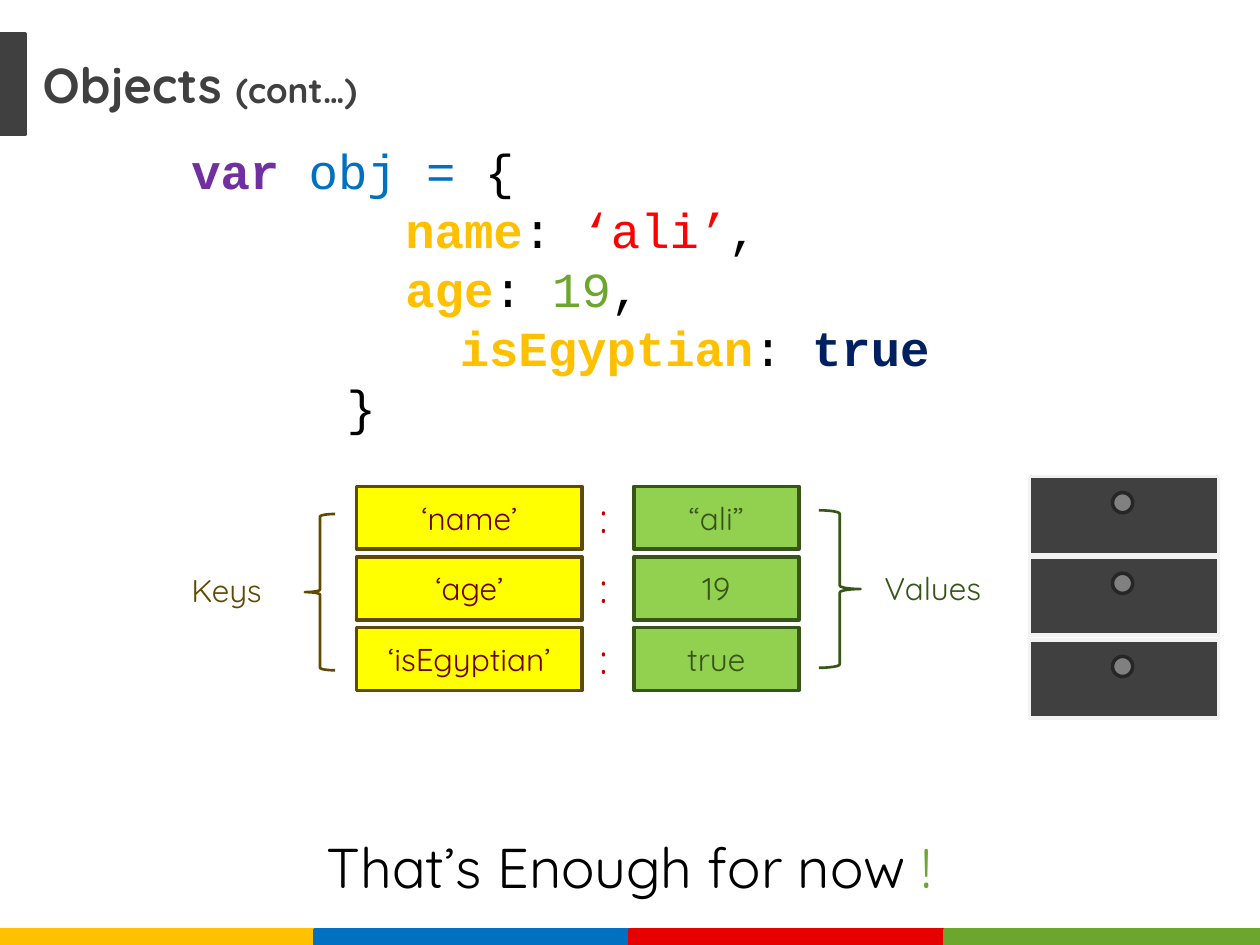
from pptx import Presentation
from pptx.dml.color import RGBColor
from pptx.enum.shapes import MSO_SHAPE as Shape
from pptx.enum.text import MSO_ANCHOR as Anchor, PP_ALIGN as Align
from pptx.util import Inches, Pt

BLACK = RGBColor(0x00, 0x00, 0x00)
CHARCOAL = RGBColor(0x40, 0x40, 0x40)
GRAY = RGBColor(0x80, 0x80, 0x80)
DARK_GRAY = RGBColor(0x26, 0x26, 0x26)
PALE_GRAY = RGBColor(0xF2, 0xF2, 0xF2)
AMBER = RGBColor(0xFF, 0xC0, 0x00)
BLUE = RGBColor(0x00, 0x70, 0xC0)
CRIMSON = RGBColor(0xE6, 0x00, 0x00)
GREEN = RGBColor(0x6C, 0xA6, 0x2C)
PURPLE = RGBColor(0x70, 0x30, 0xA0)
RED = RGBColor(0xFF, 0x00, 0x00)
NAVY = RGBColor(0x00, 0x20, 0x60)
YELLOW = RGBColor(0xFF, 0xFF, 0x00)
BROWN = RGBColor(0x60, 0x49, 0x00)
MAROON = RGBColor(0x70, 0x00, 0x00)
LIME = RGBColor(0x92, 0xD0, 0x50)
FOREST = RGBColor(0x37, 0x55, 0x17)
DARK_RED = RGBColor(0xC0, 0x00, 0x00)

BODY_FONT = "Quicksand"
CODE_FONT = "Courier New"

TITLE = [("Objects ", CHARCOAL, True, 28), ("(cont…)", CHARCOAL, True, 20)]
CLOSING = [("That’s Enough for now ", BLACK), ("!", GREEN)]
CODE = [
    [("var ", PURPLE, True), ("obj = ", BLUE), ("{", BLACK)],
    [("\t\t   ", BLACK), ("name", AMBER, True), (": ", BLACK), ("‘ali’", RED), (",", BLACK)],
    [("\t\t   ", BLACK), ("age", AMBER, True), (": ", BLACK), ("19", GREEN), (",", BLACK)],
    [("\t       ", BLACK), ("isEgyptian", AMBER, True), (": ", BLACK), ("true", NAVY, True)],
    [("\t\t }", BLACK)],
]
PAIRS = [("‘name’", "“ali”"), ("‘age’", "19"), ("‘isEgyptian’", "true")]
FOOTER_COLORS = [AMBER, BLUE, CRIMSON, GREEN]
DRAWER_TOPS = [3.78, 4.42, 5.08]

PAIR_TOP, PAIR_STEP, PAIR_HEIGHT = 3.86, 0.56, 0.5
FOOTER_WIDTH = 2.5

prs = Presentation()
prs.slide_width, prs.slide_height = Inches(10), Inches(7.5)
slide = prs.slides.add_slide(prs.slide_layouts[6])


def write(frame, lines, size=18, font=BODY_FONT, align=Align.LEFT, anchor=Anchor.TOP):
    frame.word_wrap = True
    frame.vertical_anchor = anchor
    for index, line in enumerate(lines):
        paragraph = frame.paragraphs[0] if index == 0 else frame.add_paragraph()
        paragraph.alignment = align
        for text, color, *extra in line:
            bold, run_size = (extra + [False, size][len(extra):])[:2]
            run = paragraph.add_run()
            run.text = text
            run.font.name = font
            run.font.size = Pt(run_size)
            run.font.bold = bold
            run.font.color.rgb = color


def add_text(left, top, width, height, lines, **fmt):
    box = slide.shapes.add_textbox(*map(Inches, (left, top, width, height)))
    write(box.text_frame, lines, **fmt)


def add_shape(kind, left, top, width, height, fill, line, weight=2):
    shape = slide.shapes.add_shape(kind, *map(Inches, (left, top, width, height)))
    shape.shadow.inherit = False
    if fill is None:
        shape.fill.background()
    else:
        shape.fill.solid()
        shape.fill.fore_color.rgb = fill
    shape.line.color.rgb = line
    shape.line.width = Pt(weight)
    return shape


def add_cell(left, top, width, text, fill, line, color):
    cell = add_shape(Shape.RECTANGLE, left, top, width, PAIR_HEIGHT, fill, line)
    write(cell.text_frame, [[(text, color)]], align=Align.CENTER, anchor=Anchor.MIDDLE)


for index, color in enumerate(FOOTER_COLORS):
    add_shape(Shape.RECTANGLE, index * FOOTER_WIDTH, 7.38, FOOTER_WIDTH, 0.12, color, color)

add_text(0.24, 0.38, 4.18, 0.57, [TITLE])
add_shape(Shape.RECTANGLE, 0, 0.27, 0.2, 0.8, CHARCOAL, CHARCOAL)
add_text(1.42, 1.07, 7.33, 2.46, CODE, size=28, font=CODE_FONT)
add_text(0.91, 6.56, 8.17, 0.64, [CLOSING], size=32, align=Align.CENTER)

for index, (key, value) in enumerate(PAIRS):
    top = PAIR_TOP + index * PAIR_STEP
    add_cell(2.83, top, 1.79, key, YELLOW, BROWN, MAROON)
    add_cell(5.03, top, 1.31, value, LIME, FOREST, FOREST)
    add_text(4.66, top - 0.01, 0.29, 0.5, [[(":", DARK_RED)]], size=24)

add_shape(Shape.RIGHT_BRACE, 6.5, 4.05, 0.33, 1.25, None, FOREST, weight=1.5)
add_shape(Shape.LEFT_BRACE, 2.42, 4.08, 0.24, 1.24, None, BROWN, weight=1.5)
add_text(1.42, 4.48, 0.85, 0.4, [[("Keys", BROWN)]])
add_text(6.92, 4.47, 1.17, 0.4, [[("Values", FOREST)]])

for top in DRAWER_TOPS:
    add_shape(Shape.RECTANGLE, 8.17, top, 1.5, 0.62, CHARCOAL, PALE_GRAY)
    add_shape(Shape.OVAL, 8.83, top + 0.13, 0.16, 0.16, GRAY, DARK_GRAY)

prs.save("out.pptx")
